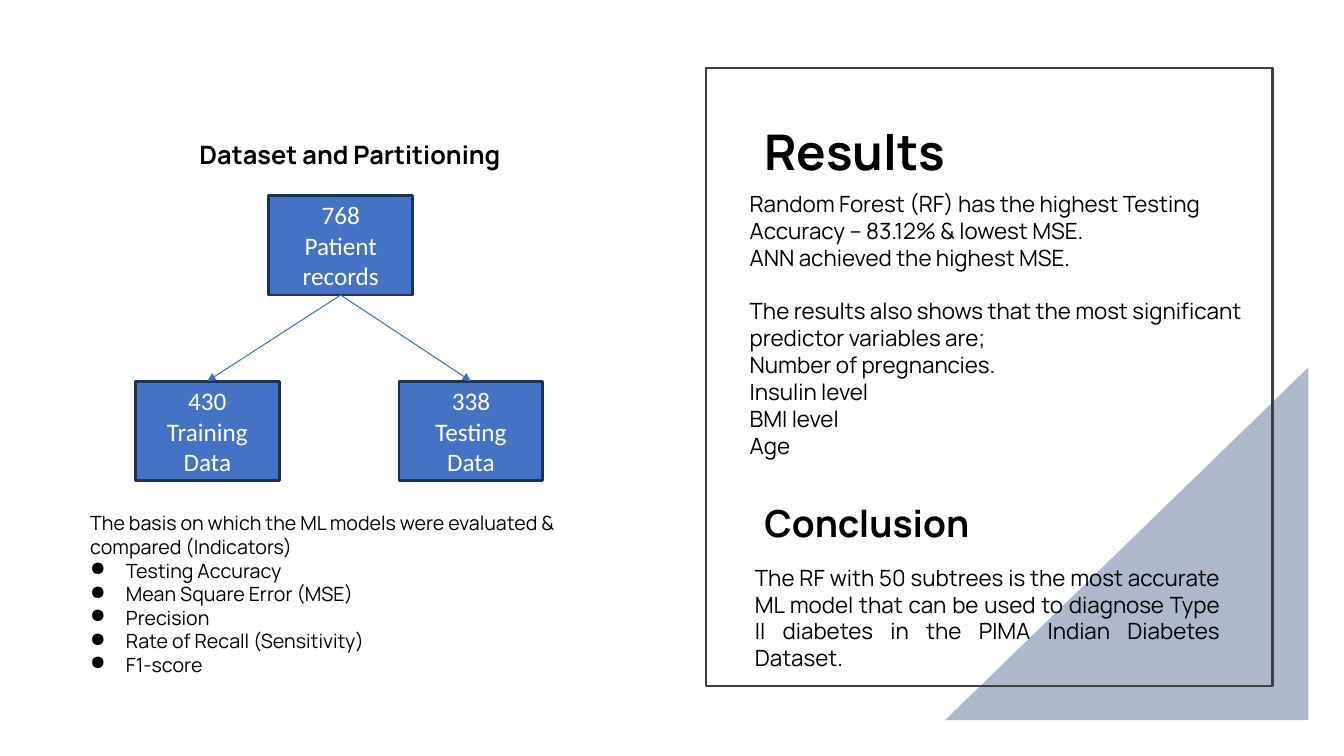
from dataclasses import dataclass

from lxml import etree
from pptx import Presentation
from pptx import util as u
from pptx.dml.color import RGBColor
from pptx.enum import shapes, text
from pptx.oxml.ns import qn

PX = 9525
BLACK, WHITE = "000000", "FFFFFF"
BOX_WIDTH, BOX_HEIGHT = 137, 95


@dataclass
class Area:
    left: int
    top: int
    width: int
    height: int

    def emu(self) -> list[int]:
        return [px(n) for n in (self.left, self.top, self.width, self.height)]


@dataclass
class Line:
    words: str
    indent: int = 0
    hanging: int = 0
    bullet: str = ""
    gap_before: float = 0
    justified: bool = False


@dataclass
class Heading:
    words: str
    area: Area
    size: float


@dataclass
class Body:
    area: Area
    size: float
    inset_y: int
    lines: list[Line]


@dataclass
class Box:
    lines: list[str]
    left: int
    top: int


HEADINGS = [
    Heading("Results", Area(718, 121, 199, 59), 35.1),
    Heading("Dataset and Partitioning", Area(180, 130, 314, 41), 18.1),
    Heading("Conclusion", Area(718, 473, 225, 59), 26.6),
]
INDICATORS = ["Testing Accuracy", "Mean Square Error (MSE)", "Precision",
              "Rate of Recall (Sensitivity)", "F1-score"]
PREDICTORS = ["Number of pregnancies.", "Insulin level", "BMI level", "Age"]
BODIES = [
    Body(Area(62, 477, 524, 254), 14, 10, [
        Line("The basis on which the ML models were evaluated & compared (Indicators)", 14),
        *[Line(name, 48, -34, "●") for name in INDICATORS],
    ]),
    Body(Area(690, 171, 503, 256), 16, 10, [
        Line("Random Forest (RF) has the highest Testing Accuracy – 83.12% & lowest MSE.", 14),
        Line("ANN achieved the highest MSE.", 14),
        Line("The results also shows that the most significant predictor variables are;",
             14, gap_before=19.2),
        *[Line(name, 14) for name in PREDICTORS],
    ]),
    Body(Area(661, 532, 511, 113), 16, 5, [
        Line("The RF with 50 subtrees is the most accurate ML model that can be used to "
             "diagnose Type II diabetes in the PIMA Indian Diabetes Dataset.",
             48, justified=True),
    ]),
]
RECORDS = Box(["768", "Patient records"], 256, 186)
SPLITS = [Box(["430", "Training", "Data"], 129, 363),
          Box(["338", "Testing", "Data"], 380, 363)]


def px(count: int) -> int:
    return u.Emu(count * PX)


def color(value: str) -> RGBColor:
    return RGBColor.from_string(value)


def add_run(paragraph, words: str, font: str, size: float, ink: str, bold: bool = False) -> None:
    run = paragraph.add_run()
    run.text = words
    run.font.name = font
    run.font.size = u.Pt(size)
    run.font.bold = bold
    run.font.color.rgb = color(ink)


def next_paragraph(frame, index: int):
    return frame.add_paragraph() if index else frame.paragraphs[0]


def set_indent(paragraph, line: Line) -> None:
    """Set the left margin, first-line indent and bullet of a paragraph."""
    properties = paragraph._p.get_or_add_pPr()
    properties.set("marL", str(px(line.indent)))
    properties.set("indent", str(px(line.hanging)))
    if line.bullet:
        bullet_color = etree.SubElement(properties, qn("a:buClr"))
        etree.SubElement(bullet_color, qn("a:srgbClr"), val=BLACK)
        etree.SubElement(properties, qn("a:buChar"), char=line.bullet)


def add_text_frame(slide, area: Area, inset_y: int):
    frame = slide.shapes.add_textbox(*area.emu()).text_frame
    frame.word_wrap = True
    frame.margin_left = frame.margin_right = px(10)
    frame.margin_top = frame.margin_bottom = px(inset_y)
    return frame


def add_heading(slide, heading: Heading) -> None:
    frame = add_text_frame(slide, heading.area, 5)
    frame.vertical_anchor = text.MSO_ANCHOR.MIDDLE
    paragraph = frame.paragraphs[0]
    paragraph.line_spacing = 0.7
    paragraph.space_after = u.Pt(6)
    add_run(paragraph, heading.words, "Manrope", heading.size, BLACK, bold=True)


def add_body(slide, body: Body) -> None:
    frame = add_text_frame(slide, body.area, body.inset_y)
    for index, line in enumerate(body.lines):
        paragraph = next_paragraph(frame, index)
        set_indent(paragraph, line)
        if line.gap_before:
            paragraph.space_before = u.Pt(line.gap_before)
        if line.justified:
            paragraph.alignment = text.PP_ALIGN.JUSTIFY
        add_run(paragraph, line.words, "Manrope", body.size, BLACK)


def add_figure(slide, kind, area: Area, fill: str = "", line: str = "", width: float = 0):
    shape = slide.shapes.add_shape(kind, *area.emu())
    shape.shadow.inherit = False
    for paint, value in ((shape.fill, fill), (shape.line.fill, line)):
        if value:
            paint.solid()
            paint.fore_color.rgb = color(value)
        else:
            paint.background()
    if line:
        shape.line.width = u.Pt(width)
    return shape


def add_box(slide, box: Box):
    area = Area(box.left, box.top, BOX_WIDTH, BOX_HEIGHT)
    shape = add_figure(slide, shapes.MSO_SHAPE.RECTANGLE, area, "4472C4", "1E3256", 2)
    frame = shape.text_frame
    frame.word_wrap = True
    frame.vertical_anchor = text.MSO_ANCHOR.MIDDLE
    for index, words in enumerate(box.lines):
        paragraph = next_paragraph(frame, index)
        paragraph.alignment = text.PP_ALIGN.CENTER
        add_run(paragraph, words, "Calibri", 18, WHITE)
    return shape


def add_arrow(slide, source, target) -> None:
    """Join the bottom of one box to the top of another."""
    arrow = slide.shapes.add_connector(shapes.MSO_CONNECTOR.STRAIGHT, 0, 0, 0, 0)
    arrow.begin_connect(source, 2)
    arrow.end_connect(target, 0)
    arrow.line.color.rgb = color("3F6FC3")
    arrow.line.width = u.Pt(0.75)
    etree.SubElement(arrow.line._get_or_add_ln(), qn("a:tailEnd"), type="triangle")
    etree.SubElement(arrow._element.spPr, qn("a:effectLst"))


def main() -> None:
    presentation = Presentation()
    presentation.slide_width, presentation.slide_height = px(1280), px(720)
    slide = presentation.slides.add_slide(presentation.slide_layouts[6])

    corner = add_figure(slide, shapes.MSO_SHAPE.RIGHT_TRIANGLE,
                        Area(900, 350, 346, 336), fill="ADB9CA")
    corner._element.spPr.find(qn("a:xfrm")).set("flipH", "1")
    add_figure(slide, shapes.MSO_SHAPE.RECTANGLE, Area(672, 65, 540, 588),
               line="3F3F3F", width=1.5)
    records = add_box(slide, RECORDS)
    for split in SPLITS:
        add_arrow(slide, records, add_box(slide, split))
    for heading in HEADINGS:
        add_heading(slide, heading)
    for body in BODIES:
        add_body(slide, body)
    presentation.save("out.pptx")


if __name__ == "__main__":
    main()
